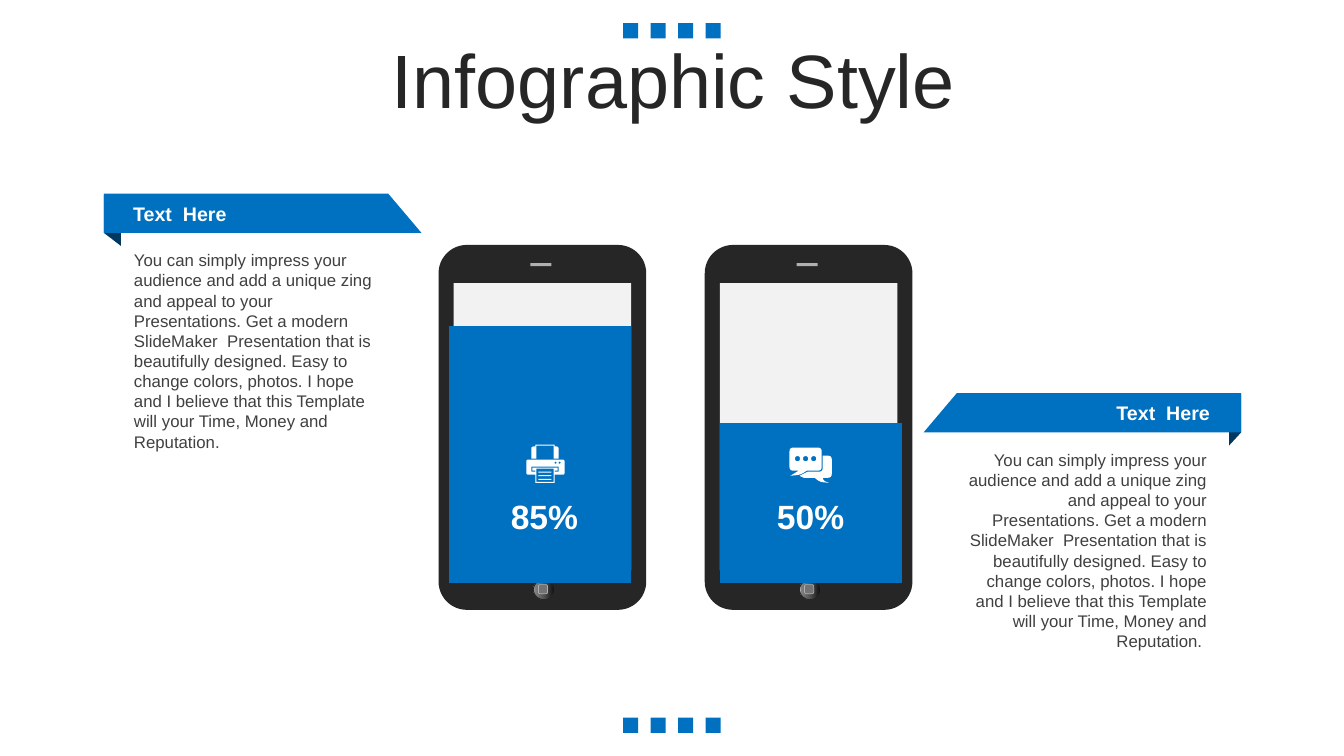
from copy import deepcopy

from pptx import Presentation
from pptx.chart.data import CategoryChartData
from pptx.dml.color import RGBColor
from pptx.enum.chart import XL_CHART_TYPE
from pptx.enum.shapes import MSO_SHAPE
from pptx.enum.text import MSO_ANCHOR, MSO_AUTO_SIZE, PP_ALIGN
from pptx.oxml import parse_xml
from pptx.oxml.ns import nsdecls, qn
from pptx.util import Inches, Pt

FONT = "Arial"
COLORS = {
    "blue": "0070C0", "navy": "003860", "dark": "262626", "body": "404040",
    "screen": "F2F2F2", "speaker": "B0B0B0", "key": "737373", "white": "FFFFFF",
}
BUTTON_STOPS = [(0, "0F0F0F"), (56, "595959"), (91, "808080"), (100, "BFBFBF")]
BODY = ("You can simply impress your audience and add a unique zing and appeal to your "
        "Presentations. Get a modern SlideMaker  Presentation that is beautifully designed. "
        "Easy to change colors, photos. I hope and I believe that this Template will your "
        "Time, Money and Reputation.")


def rgb(name):
    return RGBColor.from_string(COLORS[name])


def paint(s, color):
    s.shadow.inherit = False
    s.fill.solid()
    s.fill.fore_color.rgb = rgb(color)
    s.line.fill.background()
    return s


def add_box(shapes, kind, x, y, w, h, color):
    return paint(shapes.add_shape(kind, Inches(x), Inches(y), Inches(w), Inches(h)), color)


def add_outline(shapes, x, y, contours, color):
    """Draw closed contours, given in inches from (x, y), as one shape."""
    builder = None
    for contour in contours:
        pts = [(Inches(x + dx), Inches(y + dy)) for dx, dy in contour]
        if builder is None:
            builder = shapes.build_freeform(*pts[0])
        else:
            builder.move_to(*pts[0])
        builder.add_line_segments(pts[1:], close=True)
    return paint(builder.convert_to_shape(), color)


def style_text(tf, text, size, color, align, bold=False, anchor=MSO_ANCHOR.TOP):
    tf.word_wrap = True
    tf.auto_size = MSO_AUTO_SIZE.NONE
    tf.vertical_anchor = anchor
    p = tf.paragraphs[0]
    p.alignment = align
    r = p.add_run()
    r.text = text
    r.font.name, r.font.size, r.font.bold = FONT, Pt(size), bold
    r.font.color.rgb = rgb(color)
    return p


def add_text(shapes, x, y, w, h, *args, **kwargs):
    tf = shapes.add_textbox(Inches(x), Inches(y), Inches(w), Inches(h)).text_frame
    style_text(tf, *args, **kwargs)
    return tf


# Contour helpers for the icons
def rect(x, y, w, h):
    return [(x, y), (x + w, y), (x + w, y + h), (x, y + h)]


def rounded(points):
    """Turn (x, y, radius) corners into a smooth contour."""
    out = []
    for i, (x, y, radius) in enumerate(points):
        if not radius:
            out.append((x, y))
            continue
        ends = []
        for nx, ny, _ in (points[i - 1], points[(i + 1) % len(points)]):
            t = radius / ((nx - x) ** 2 + (ny - y) ** 2) ** 0.5
            ends.append((x + (nx - x) * t, y + (ny - y) * t))
        (ax, ay), (bx, by) = ends
        for t in (0, 0.25, 0.5, 0.75, 1):
            a, m, b = (1 - t) ** 2, 2 * t * (1 - t), t * t
            out.append((a * ax + m * x + b * bx, a * ay + m * y + b * by))
    return out


def dot(cx, cy, radius):
    return rounded([(cx + i * radius, cy + j * radius, radius)
                    for i, j in ((-1, -1), (1, -1), (1, 1), (-1, 1))])


# Rows of four squares at the top and bottom
def add_squares(slide, x, y):
    group = slide.shapes.add_group_shape()
    for i in range(4):
        add_box(group.shapes, MSO_SHAPE.RECTANGLE, x + i * 0.273, y, 0.15, 0.15, "blue")


def add_title(slide, x, y, w, h):
    s = slide.shapes.title
    s.left, s.top, s.width, s.height = Inches(x), Inches(y), Inches(w), Inches(h)
    p = style_text(s.text_frame, "Infographic Style", 54, "dark", PP_ALIGN.CENTER,
                   anchor=MSO_ANCHOR.MIDDLE)
    p.line_spacing = 0.9


def add_phone(slide, x, y):
    shapes = slide.shapes.add_group_shape().shapes
    case = add_box(shapes, MSO_SHAPE.ROUNDED_RECTANGLE, x, y, 2.06, 3.62, "dark")
    case.adjustments[0] = 0.136
    add_box(shapes, MSO_SHAPE.RECTANGLE, x + 0.91, y + 0.18, 0.21, 0.03, "speaker")
    # Home button
    button = add_box(shapes, MSO_SHAPE.OVAL, x + 0.94, y + 3.32, 0.21, 0.2, "dark")
    button.fill.gradient()
    button.fill.gradient_angle = 180
    stops = button._element.spPr.find(qn("a:gradFill")).find(qn("a:gsLst"))
    for old in list(stops):
        stops.remove(old)
    for pos, color in BUTTON_STOPS:
        stops.append(parse_xml(f'<a:gs {nsdecls("a")} pos="{pos * 1000}">'
                               f'<a:srgbClr val="{color}"/></a:gs>'))
    button.line.color.rgb = rgb("dark")
    button.line.width = Pt(0)
    key = add_box(shapes, MSO_SHAPE.ROUNDED_RECTANGLE, x + 0.99, y + 3.37, 0.09, 0.09, "key")
    key.line.color.rgb = rgb("speaker")
    key.line.width = Pt(0.5)
    add_box(shapes, MSO_SHAPE.RECTANGLE, x + 0.15, y + 0.38, 1.76, 2.85, "screen")


def add_ribbon(slide, x, y, body, inset, fold, flip=False):
    """Folded banner with its label and the paragraph below; flip mirrors it."""
    w, h = 3.15, 0.39
    align = PP_ALIGN.RIGHT if flip else PP_ALIGN.LEFT

    def mirror(points):
        return [(w - dx if flip else dx, dy) for dx, dy in points]

    def left(dx, width):
        return x + (w - dx - width if flip else dx)

    shapes = slide.shapes.add_group_shape().shapes
    add_outline(shapes, x, y, [mirror([(fold, 0.02), (0, 0.01), (0, h), (fold, 0.52)])], "navy")
    add_outline(shapes, x, y, [mirror([(0, 0), (2.82, 0), (w, h), (0, h)])], "blue")
    tf = add_text(shapes, left(inset, 1.57), y, 1.57, h, "Text  Here", 14, "white", align,
                  bold=True, anchor=MSO_ANCHOR.MIDDLE)
    tf.margin_left = Inches(0.12)
    add_text(slide.shapes, left(inset + 0.03, 2.62), y + 0.51, 2.62, 2.12,
             body, 12, "body", align)


def add_levels(slide, x, y, w, h):
    data = CategoryChartData()
    data.categories = ["1", "2"]
    data.add_series("Series 1", (100, 62))
    chart = slide.shapes.add_chart(XL_CHART_TYPE.COLUMN_STACKED, Inches(x), Inches(y),
                                   Inches(w), Inches(h), data).chart
    chart.has_legend = chart.has_title = False
    chart.font.name, chart.font.size = FONT, Pt(18)
    chart.font.color.rgb = RGBColor(0, 0, 0)
    axis = chart.value_axis
    axis.minimum_scale, axis.maximum_scale = 0, 100
    axis.has_major_gridlines = False
    axis.visible = chart.category_axis.visible = False
    plot = chart.plots[0]
    plot.gap_width, plot.overlap, plot.vary_by_categories = 49, 100, False
    fill = plot.series[0].format.fill
    fill.solid()
    fill.fore_color.rgb = rgb("blue")
    # Fixed inner plot area, as shares of the chart
    area = chart._chartSpace.chart.plotArea
    for old in area.findall(qn("c:layout")):
        area.remove(old)
    parts = "".join(f'<c:{k} val="{v}"/>' for k, v in (
        ("layoutTarget", "inner"), ("xMode", "edge"), ("yMode", "edge"),
        ("x", 0.02), ("y", 0.125), ("w", 0.96), ("h", 0.855)))
    area.insert(0, parse_xml(f'<c:layout {nsdecls("c")}><c:manualLayout>{parts}'
                             '</c:manualLayout></c:layout>'))


def add_printer(slide, x, y):
    body = rounded([(0, 0.15, 0.02), (0.38, 0.15, 0.02), (0.38, 0.3, 0.02), (0.28, 0.3, 0),
                    (0.28, 0.38, 0), (0.09, 0.38, 0), (0.09, 0.3, 0), (0, 0.3, 0.02)])
    lid = rounded([(0.09, 0, 0), (0.28, 0, 0), (0.28, 0.02, 0), (0.32, 0.02, 0.02),
                   (0.32, 0.14, 0), (0.27, 0.14, 0), (0.27, 0.01, 0), (0.1, 0.01, 0),
                   (0.1, 0.14, 0), (0.05, 0.14, 0), (0.05, 0.02, 0.02), (0.09, 0.02, 0)])
    slot = [(0.05, 0.22), (0.05, 0.27), (0.09, 0.27), (0.09, 0.26), (0.06, 0.26), (0.06, 0.23),
            (0.31, 0.23), (0.31, 0.26), (0.28, 0.26), (0.28, 0.27), (0.32, 0.27), (0.32, 0.22)]
    lines = [rect(0.12, 0.27 + i * 0.035, 0.13, 0.01) for i in range(3)]
    lights = [dot(cx, 0.18, 0.01) for cx in (0.29, 0.33)]
    add_outline(slide.shapes, x, y,
                [body, lid, slot, rect(0.1, 0.24, 0.17, 0.13)] + lines + lights, "white")


def add_chat(slide, x, y):
    front = rounded([(0, 0, 0.04), (0.32, 0, 0.04), (0.32, 0.23, 0.04), (0.17, 0.23, 0),
                     (0.11, 0.27, 0.04), (0.01, 0.28, 0), (0.09, 0.23, 0), (0, 0.23, 0.04)])
    back = rounded([(0.33, 0.08, 0), (0.42, 0.08, 0.04), (0.42, 0.3, 0.04), (0.33, 0.3, 0),
                    (0.34, 0.33, 0.02), (0.39, 0.35, 0), (0.3, 0.34, 0.03), (0.25, 0.3, 0),
                    (0.14, 0.3, 0.01), (0.1, 0.28, 0), (0.18, 0.24, 0), (0.33, 0.24, 0.04)])
    dots = [dot(0.08 + i * 0.08, 0.11, 0.025) for i in range(3)]
    add_outline(slide.shapes, x, y, [front, back] + dots, "white")


def main():
    prs = Presentation()
    prs.slide_width, prs.slide_height = Inches(13.33), Inches(7.5)
    slide = prs.slides.add_slide(prs.slide_layouts[5])
    for y in (0.23, 7.12):
        add_squares(slide, 6.18, y)
    add_title(slide, 0.35, 0.44, 12.66, 0.79)
    phones = (4.35, 6.99)
    for x in phones:
        add_phone(slide, x, 2.43)
    add_ribbon(slide, 1.03, 1.92, BODY, inset=0.17, fold=0.17)
    add_ribbon(slide, 9.16, 3.9, BODY + " ", inset=0.21, fold=0.12, flip=True)
    add_levels(slide, 3.9, 2.86, 5.6, 2.98)
    for x, share in zip(phones, ("85%", "50%")):
        add_text(slide.shapes, x + 0.61, 4.87, 0.88, 0.5, share, 24, "white",
                 PP_ALIGN.CENTER, bold=True, anchor=MSO_ANCHOR.MIDDLE)
    add_printer(slide, 5.22, 4.41)
    add_chat(slide, 7.83, 4.44)
    prs.save("out.pptx")


if __name__ == "__main__":
    main()
